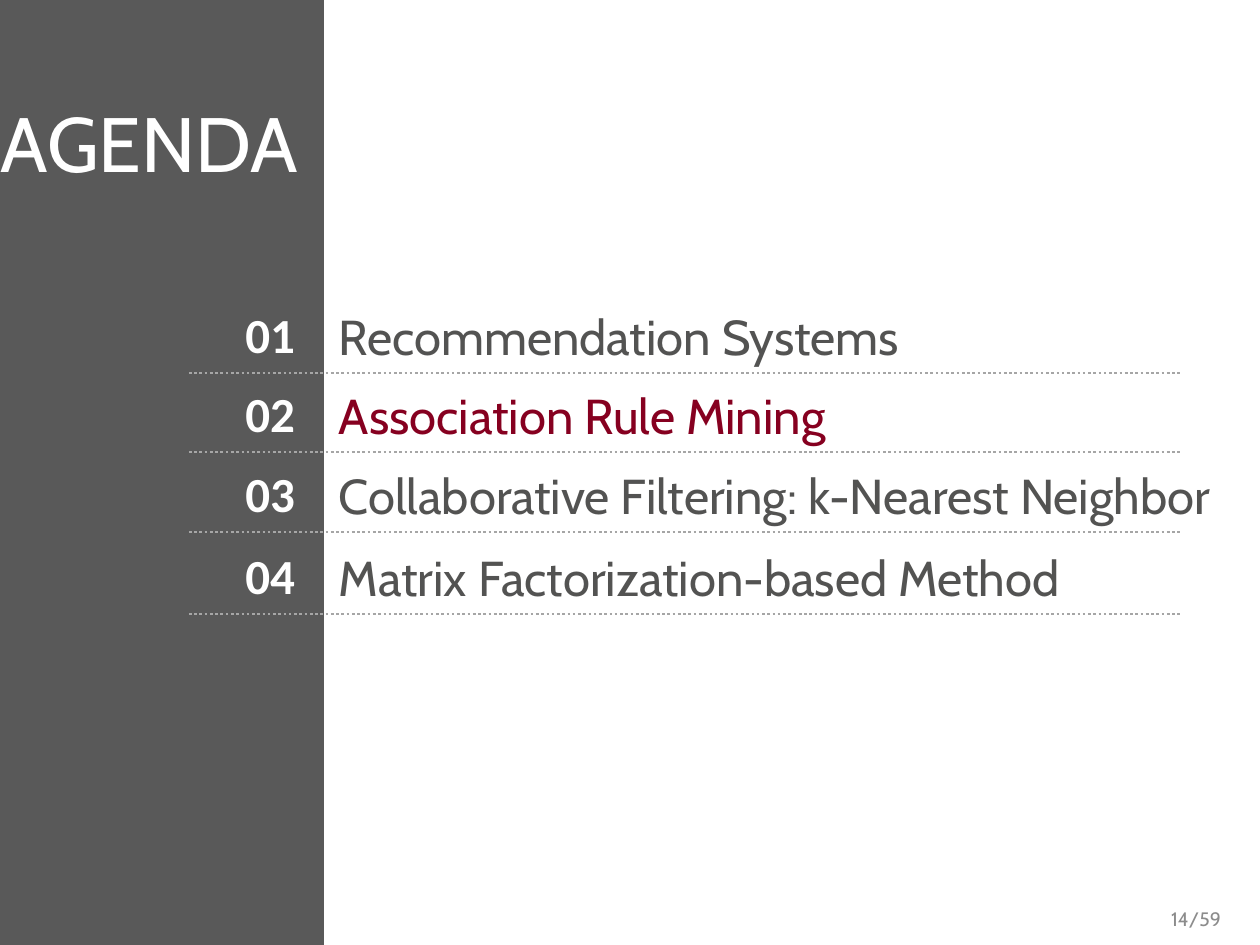
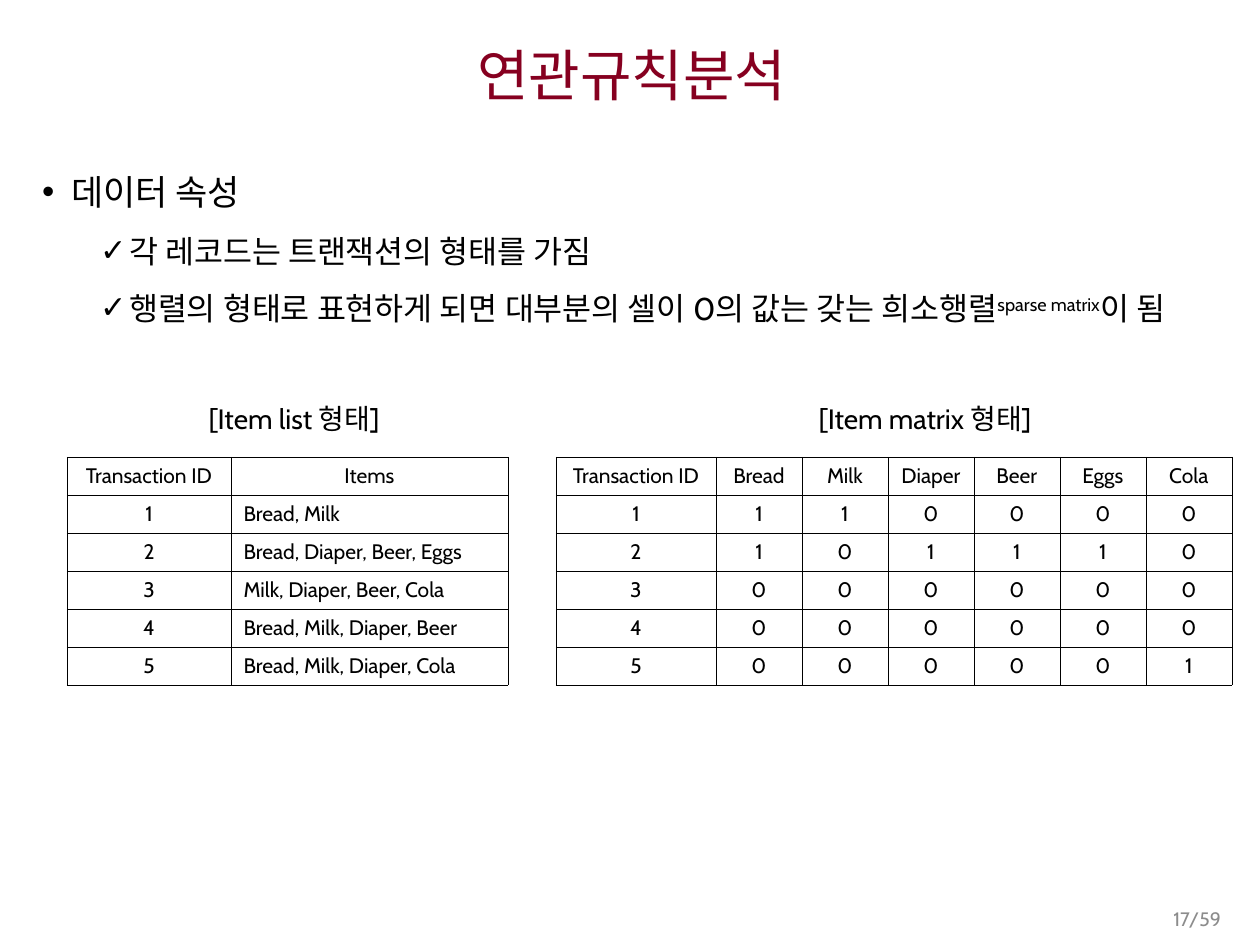
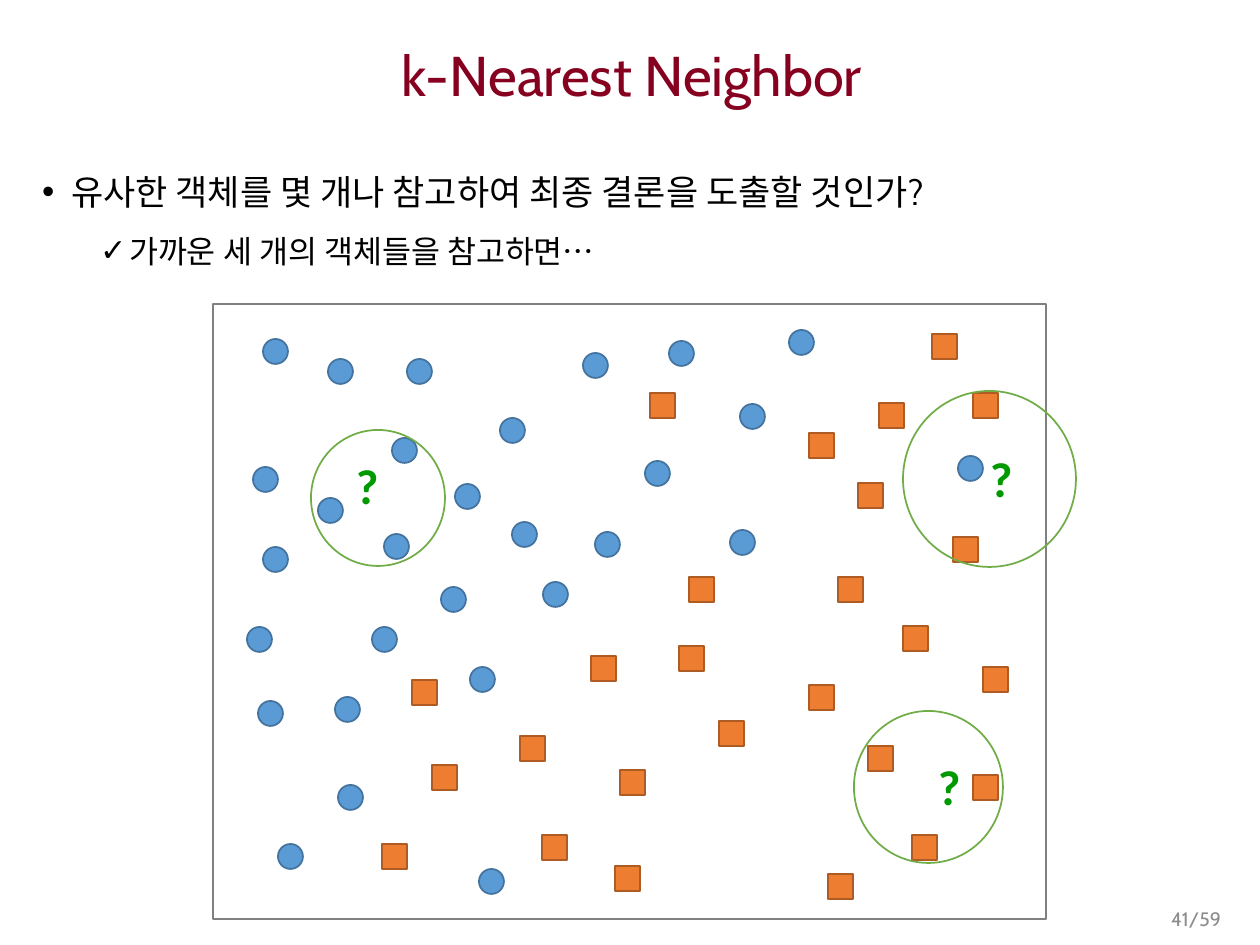
from lxml import etree
from pptx import Presentation
from pptx.dml.color import RGBColor
from pptx.enum.dml import MSO_LINE
from pptx.enum.shapes import MSO_CONNECTOR, MSO_SHAPE
from pptx.enum.text import MSO_ANCHOR, PP_ALIGN
from pptx.oxml.ns import qn
from pptx.util import Inches, Pt

RECT, OVAL = MSO_SHAPE.RECTANGLE, MSO_SHAPE.OVAL
STRAIGHT, DOTTED = MSO_CONNECTOR.STRAIGHT, MSO_LINE.ROUND_DOT
TOP, MIDDLE = MSO_ANCHOR.TOP, MSO_ANCHOR.MIDDLE
LEFT, CENTER, RIGHT = PP_ALIGN.LEFT, PP_ALIGN.CENTER, PP_ALIGN.RIGHT

PX = 7257  # EMU per px, 126 px to the inch
COLORS = {
    "black": "000000", "white": "FFFFFF", "crimson": "860020",
    "sidebar": "595959", "item": "535352", "rule": "A6A6A6",
    "page": "8C8C8C", "frame": "808080",
    "blue": "5B9BD5", "blue edge": "43739E",
    "orange": "ED7D31", "orange edge": "AF5C24",
    "ring": "70AD47", "query": "009900",
}


def place(slide, box, form=None, fill=None, line=None, weight=1,
          anchor=TOP, margins=(13, 6, 13, 6)):
    """Add a preset shape, or a text box when no form is given."""
    lengths = [px * PX for px in box]
    if form is None:
        shape = slide.shapes.add_textbox(*lengths)
        frame = shape.text_frame
        frame.word_wrap = True
        frame.vertical_anchor = anchor
        (frame.margin_left, frame.margin_top,
         frame.margin_right, frame.margin_bottom) = [px * PX for px in margins]
        return frame
    shape = slide.shapes.add_shape(form, *lengths)
    shape.shadow.inherit = False
    if fill:
        shape.fill.solid()
        shape.fill.fore_color.rgb = RGBColor.from_string(COLORS[fill])
    else:
        shape.fill.background()
    if line:
        shape.line.color.rgb = RGBColor.from_string(COLORS[line])
        shape.line.width = Pt(weight)
    else:
        shape.line.fill.background()
    return shape


def write(frame, text, size=12, color="black", font="Cabin", bold=False,
          align=LEFT, spacing=None, before=0, bullet=None, level=0):
    """Add a paragraph; the parts between ^ marks are superscript."""
    paragraph = frame.add_paragraph() if frame.text else frame.paragraphs[0]
    paragraph.alignment = align
    if bullet:
        properties = paragraph._p.get_or_add_pPr()
        properties.set("marL", str((29 + 58 * level) * PX))
        properties.set("indent", str(-29 * PX))
        etree.SubElement(properties, qn("a:buFont")).set("typeface", "Arial")
        etree.SubElement(properties, qn("a:buChar")).set("char", bullet)
        paragraph.level = level
    if spacing:
        paragraph.line_spacing = spacing
    paragraph.space_before = Pt(before)
    for index, part in enumerate(text.split("^")):
        run = paragraph.add_run()
        run.text = part
        run.font.size = Pt(size)
        run.font.name = font
        run.font.bold = bold
        run.font.color.rgb = RGBColor.from_string(COLORS[color])
        if index % 2:
            run._r.get_or_add_rPr().set("baseline", "30000")


deck = Presentation()
deck.slide_width, deck.slide_height = Inches(10), Inches(7.5)

# Shared parts: title, bullets and page number
pages = [
    ("14/59", None, None, []),
    ("17/59", "연관규칙분석", "데이터 속성", [
        "각 레코드는 트랜잭션의 형태를 가짐",
        "행렬의 형태로 표현하게 되면 대부분의 셀이 0의 값는 갖는 희소행렬^sparse matrix^이 됨",
    ]),
    ("41/59", "k-Nearest Neighbor",
     "유사한 객체를 몇 개나 참고하여 최종 결론을 도출할 것인가?",
     ["가까운 세 개의 객체들을 참고하면…"]),
]
slides = []
for page, title, topic, details in pages:
    slide = deck.slides.add_slide(deck.slide_layouts[6])
    slides.append(slide)
    if title:
        write(place(slide, (29, 32, 1206, 92), anchor=MIDDLE), title,
              size=32, color="crimson", align=CENTER, spacing=0.9)
        body = place(slide, (29, 152, 1206, 736))
        write(body, topic, size=20, spacing=1.3, bullet="•")
        for detail in details:
            write(body, detail, size=18, spacing=1.3, before=4.6,
                  bullet="✓", level=1)
    write(place(slide, (950, 900, 284, 38), anchor=MIDDLE), page,
          size=11.1, color="page", align=RIGHT)
agenda, rules, neighbors = slides

# Agenda: sidebar and numbered items over dotted rules
place(agenda, (-53, 0, 377, 945), RECT, fill="sidebar")
write(place(agenda, (-37, 96, 373, 93), margins=(0, 0, 0, 0)), "AGENDA",
      size=44, color="white", align=CENTER)
items = [
    (373, "Recommendation Systems", "item"),
    (452, "Association Rule Mining", "crimson"),
    (532, "Collaborative Filtering: k-Nearest Neighbor", "item"),
    (614, "Matrix Factorization-based Method", "item"),
]
for number, (rule_y, item, color) in enumerate(items, start=1):
    write(place(agenda, (169, rule_y - 75, 139, 72), anchor=MIDDLE),
          f"{number:02}", size=28, color="white", font="Calibri", bold=True,
          align=RIGHT)
    write(place(agenda, (339, rule_y - 62, 896, 49), anchor=MIDDLE,
                margins=(0, 6, 13, 6)), item, size=28, color=color)
    rule = agenda.shapes.add_connector(
        STRAIGHT, 189 * PX, rule_y * PX, 1182 * PX, rule_y * PX)
    rule.line.color.rgb = RGBColor.from_string(COLORS["rule"])
    rule.line.width = Pt(1.5)
    rule.line.dash_style = DOTTED
    etree.SubElement(rule._element.spPr, qn("a:effectLst"))

# Association rules: the same transactions as a list and as a matrix
item_list = [
    ["Transaction ID", "Items"],
    ["1", "Bread, Milk"],
    ["2", "Bread, Diaper, Beer, Eggs"],
    ["3", "Milk, Diaper, Beer, Cola"],
    ["4", "Bread, Milk, Diaper, Beer"],
    ["5", "Bread, Milk, Diaper, Cola"],
]
item_matrix = [
    ["Transaction ID", "Bread", "Milk", "Diaper", "Beer", "Eggs", "Cola"],
    *[list(row) for row in
      ("1110000", "2101110", "3000000", "4000000", "5000001")],
]
forms = [
    ("[Item list 형태]", 156, 67, [164, 277], item_list),
    ("[Item matrix 형태]", 787, 556, [160] + [86] * 6, item_matrix),
]
ROW_HEIGHT = 38
for caption, caption_left, left, widths, rows in forms:
    write(place(rules, (caption_left, 396, 276, 47)), caption, size=16,
          align=CENTER)
    table = rules.shapes.add_table(
        len(rows), len(widths), left * PX, 457 * PX,
        sum(widths) * PX, ROW_HEIGHT * len(rows) * PX).table
    table.first_row = table.horz_banding = False
    for column, width in zip(table.columns, widths):
        column.width = width * PX
    for r, row in enumerate(rows):
        for c, value in enumerate(row):
            cell = table.cell(r, c)
            borders = cell._tc.get_or_add_tcPr()
            for side in ("lnL", "lnR", "lnT", "lnB"):
                edge = etree.SubElement(borders, qn(f"a:{side}"), w="3175")
                ink = etree.SubElement(edge, qn("a:solidFill"))
                etree.SubElement(ink, qn("a:srgbClr"), val=COLORS["black"])
            cell.fill.background()
            cell.vertical_anchor = MIDDLE
            in_basket = rows is item_list and r > 0 and c == 1
            write(cell.text_frame, value, align=LEFT if in_basket else CENTER)

# Nearest neighbors: two classes of objects in a frame
place(neighbors, (213, 304, 833, 615), RECT, "white", "frame", 0.75)
blue_objects = [
    (263, 339), (328, 359), (253, 467), (407, 359), (318, 498), (247, 627),
    (392, 438), (543, 582), (263, 547), (500, 418), (455, 484), (384, 534),
    (512, 522), (441, 587), (958, 456), (595, 532), (470, 667), (372, 627),
    (258, 701), (479, 869), (278, 844), (335, 697), (338, 785), (583, 353),
    (645, 461), (669, 341), (730, 530), (740, 404), (789, 330),
]
orange_objects = [
    (838, 577), (858, 483), (879, 403), (650, 393), (973, 393), (932, 334),
    (809, 433), (689, 577), (953, 537), (903, 626), (983, 667), (973, 775),
    (809, 685), (868, 746), (912, 835), (591, 656), (679, 646), (719, 721),
    (828, 874), (620, 770), (520, 736), (412, 680), (432, 765), (542, 835),
    (382, 844), (615, 866),
]
for form, color, objects in ((OVAL, "blue", blue_objects),
                             (RECT, "orange", orange_objects)):
    for left, top in objects:
        place(neighbors, (left, top, 25, 25), form, color, f"{color} edge")

# Unknown objects, each ringed with its three nearest neighbors
queries = [
    ((343, 450), (311, 430, 134, 136)),
    ((925, 750), (854, 711, 149, 152)),
    ((977, 442), (903, 391, 173, 176)),
]
for (left, top), ring in queries:
    write(place(neighbors, (left, top, 69, 72)), "?", size=28, color="query",
          font="Calibri", bold=True)
    place(neighbors, ring, OVAL, line="ring")

deck.save("out.pptx")
